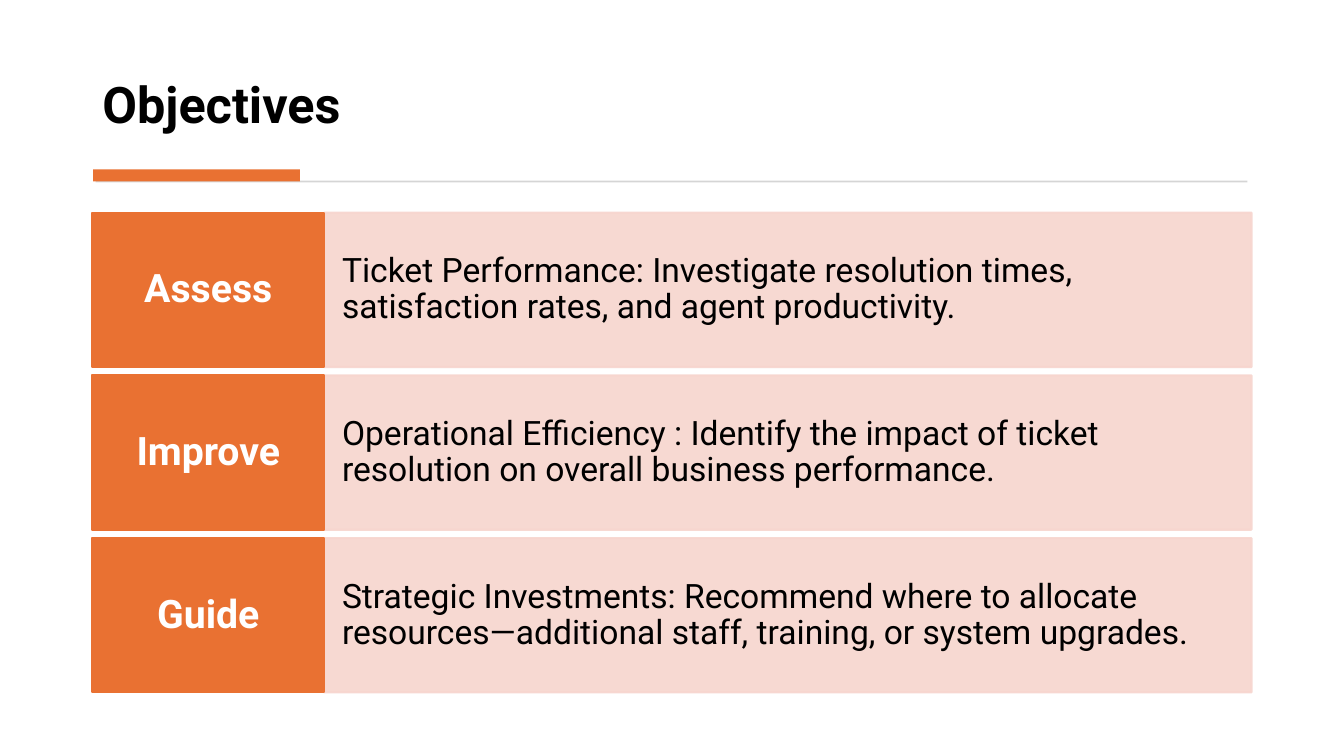
import lxml.etree
import pptx
import pptx.dml.color
import pptx.enum.shapes
import pptx.enum.text
import pptx.oxml.ns
import pptx.util
from dataclasses import dataclass

Cm = pptx.util.Cm
ALIGN = pptx.enum.text.PP_ALIGN
ANCHOR = pptx.enum.text.MSO_ANCHOR


@dataclass(frozen=True)
class Theme:
    font: str = "Roboto"
    accent: str = "E97132"
    panel: str = "F7D5CE"
    rule: str = "D5D5D5"
    dark: str = "000000"
    light: str = "FFFFFF"
    title_size: int = 36
    label_size: int = 28
    body_size: int = 24
    border: float = 1.5
    panel_opacity: int = 90


class SlideBuilder:
    def __init__(self, slide, theme):
        self.slide = slide
        self.theme = theme

    def set_text(self, shape, text, size, color, bold=False, align=ALIGN.LEFT,
                 anchor=ANCHOR.MIDDLE, insets=(0.25, 0.13)):
        frame = shape.text_frame
        frame.word_wrap = True
        frame.vertical_anchor = anchor
        frame.margin_left = frame.margin_right = Cm(insets[0])
        frame.margin_top = frame.margin_bottom = Cm(insets[1])
        frame.text = text
        paragraph = frame.paragraphs[0]
        paragraph.alignment = align
        paragraph.line_spacing = 0.9
        font = paragraph.runs[0].font
        font.name = self.theme.font
        font.size = pptx.util.Pt(size)
        font.bold = bold
        font.color.rgb = pptx.dml.color.RGBColor.from_string(color)

    def title(self, text, left, top, width, height):
        box = self.slide.shapes.add_textbox(Cm(left), Cm(top), Cm(width), Cm(height))
        self.set_text(box, text, self.theme.title_size, self.theme.dark,
                      bold=True, anchor=ANCHOR.BOTTOM)

    def rectangle(self, left, top, width, height, color, border=False, opacity=100):
        shape = self.slide.shapes.add_shape(
            pptx.enum.shapes.MSO_SHAPE.RECTANGLE,
            Cm(left), Cm(top), Cm(width), Cm(height))
        shape.shadow.inherit = False
        fills = [shape.fill]
        if border:
            shape.line.width = pptx.util.Pt(self.theme.border)
            fills.append(shape.line.fill)
        else:
            shape.line.fill.background()
        for fill in fills:
            fill.solid()
            fill.fore_color.rgb = pptx.dml.color.RGBColor.from_string(color)
        # Transparency applies to fill and border alike
        if opacity < 100:
            properties = shape.element.spPr
            for node in properties.iter(pptx.oxml.ns.qn("a:srgbClr")):
                alpha = lxml.etree.SubElement(node, pptx.oxml.ns.qn("a:alpha"))
                alpha.set("val", str(opacity * 1000))
        return shape

    def objective(self, label, text, left, top, label_width, text_width, height):
        theme = self.theme
        panel = self.rectangle(left + label_width, top, text_width, height,
                               theme.panel, True, theme.panel_opacity)
        self.set_text(panel, text, theme.body_size, theme.dark, insets=(0.45, 0.99))
        tile = self.rectangle(left, top, label_width, height, theme.accent, True)
        self.set_text(tile, label, theme.label_size, theme.light, bold=True,
                      align=ALIGN.CENTER, insets=(0.3, 0.38))


OBJECTIVES = [
    ("Assess", "Ticket Performance: Investigate resolution times, "
               "satisfaction rates, and agent productivity."),
    ("Improve", "Operational Efficiency : Identify the impact of ticket "
                "resolution on overall business performance."),
    ("Guide", "Strategic Investments: Recommend where to allocate "
              "resources—additional staff, training, or system upgrades."),
]
LEFT = 2.33
FIRST_ROW_TOP = 5.36
ROW_PITCH = 4.1


def main():
    presentation = pptx.Presentation()
    presentation.slide_width = Cm(33.87)
    presentation.slide_height = Cm(19.05)
    slide = presentation.slides.add_slide(presentation.slide_layouts[6])
    theme = Theme()
    builder = SlideBuilder(slide, theme)

    # Title with its rule and accent bar
    builder.title("Objectives", LEFT, 0.71, 29.18, 2.82)
    builder.rectangle(2.41, 4.55, 29.03, 0.05, theme.rule)
    builder.rectangle(2.35, 4.27, 5.21, 0.3, theme.accent)

    # One row per objective
    for index, (label, text) in enumerate(OBJECTIVES):
        builder.objective(label, text, LEFT, FIRST_ROW_TOP + index * ROW_PITCH,
                          label_width=5.84, text_width=23.37, height=3.89)

    presentation.save("out.pptx")


if __name__ == "__main__":
    main()
